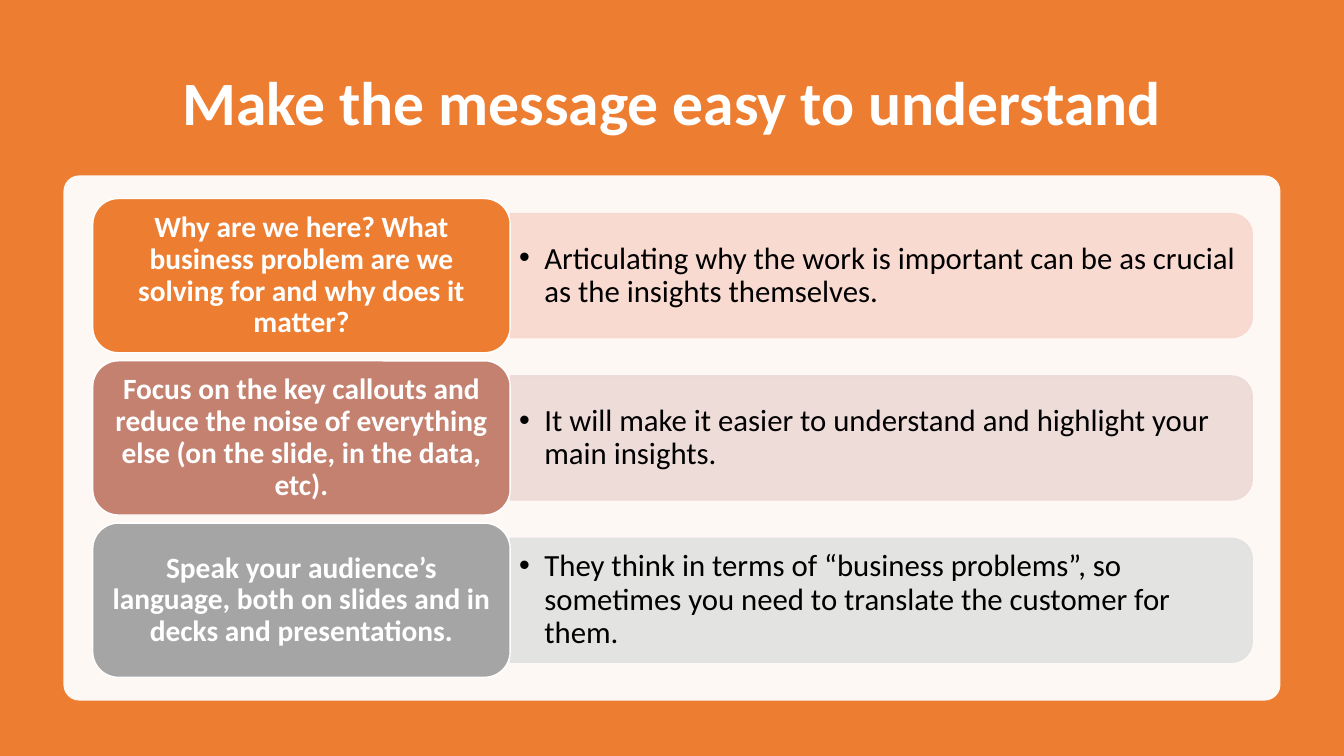
import pptx
import pptx.util
import pptx.dml.color
import pptx.enum.shapes
import pptx.enum.text
import pptx.oxml.ns
import lxml.etree

Inches = pptx.util.Inches
Pt = pptx.util.Pt
KIND = pptx.enum.shapes.MSO_SHAPE
ALIGN = pptx.enum.text.PP_ALIGN
qn = pptx.oxml.ns.qn

TITLE = "Make the message easy to understand"
ROWS = [
    ("Why are we here? What business problem are we solving for and why does it matter?",
     "Articulating why the work is important can be as crucial as the insights themselves.",
     "ED7D31", "F8D7CE"),
    ("Focus on the key callouts and reduce the noise of everything else (on the slide, in the data, etc).",
     "It will make it easier to understand and highlight your main insights.",
     "C48170", "EDD9D7"),
    ("Speak your audience’s language, both on slides and in decks and presentations.",
     "They think in terms of “business problems”, so sometimes you need to translate the customer for them.",
     "A5A5A5", "E1E1E1"),
]
WIDE, HIGH = 13.33, 7.5
LEFT, TOP, STEP = 0.92, 1.97, 1.61
CARD_W, CARD_H = 4.14, 1.53
BAR_W, BAR_H = 7.36, 1.23
NOTE_W, NOTE_H = 7.3, 1.11


def paint(part, color, alpha=None):
    part.solid()
    part.fore_color.rgb = pptx.dml.color.RGBColor.from_string(color)
    if alpha:
        tint = part._xPr.find(qn("a:solidFill")).find(qn("a:srgbClr"))
        lxml.etree.SubElement(tint, qn("a:alpha"), val=str(alpha * 1000))


def add_box(slide, kind, x, y, w, h, color, alpha=None, edge=None):
    box = slide.shapes.add_shape(kind, Inches(x), Inches(y), Inches(w), Inches(h))
    box.shadow.inherit = False
    paint(box.fill, color, alpha)
    if edge:
        box.line.width = Pt(1)
        paint(box.line.fill, edge, alpha)
    else:
        box.line.fill.background()
    return box


def write(shape, text, size, color, bold=False, align=ALIGN.CENTER, inset=(0.1, 0.05), bullet=False):
    frame = shape.text_frame
    frame.word_wrap = True
    frame.auto_size = pptx.enum.text.MSO_AUTO_SIZE.NONE
    frame.vertical_anchor = pptx.enum.text.MSO_ANCHOR.MIDDLE
    frame.margin_left = frame.margin_right = Inches(inset[0])
    frame.margin_top = frame.margin_bottom = Inches(inset[1])
    para = frame.paragraphs[0]
    para.alignment = align
    para.line_spacing = 0.9
    if bullet:
        para.level = 1
        props = para._p.get_or_add_pPr()
        props.set("marL", str(Inches(0.25)))
        props.set("indent", str(-Inches(0.25)))
        lxml.etree.SubElement(props, qn("a:buFont"), typeface="Arial")
        lxml.etree.SubElement(props, qn("a:buChar"), char="•")
    run = para.add_run()
    run.text = text
    run.font.name = "Calibri"
    run.font.size = Pt(size)
    run.font.bold = bold
    run.font.color.rgb = pptx.dml.color.RGBColor.from_string(color)


def add_row(slide, top, head, note, dark, light):
    mid = top + CARD_H / 2
    edge = LEFT + CARD_W
    bar = add_box(slide, KIND.ROUND_2_SAME_RECTANGLE, edge + (BAR_W - BAR_H) / 2,
                  mid - BAR_W / 2, BAR_H, BAR_W, light, alpha=90, edge=light)
    bar.rotation = 90
    body = slide.shapes.add_textbox(Inches(edge), Inches(mid - NOTE_H / 2),
                                    Inches(NOTE_W), Inches(NOTE_H))
    write(body, note, 22, "000000", align=ALIGN.LEFT, inset=(0.09, 0.05), bullet=True)
    card = add_box(slide, KIND.ROUNDED_RECTANGLE, LEFT, top, CARD_W, CARD_H, dark, edge="FFFFFF")
    write(card, head, 21, "FFFFFF", bold=True, inset=(0.09, 0.04))


def main():
    deck = pptx.Presentation()
    deck.slide_width, deck.slide_height = Inches(WIDE), Inches(HIGH)
    slide = deck.slides.add_slide(deck.slide_layouts[5])
    back = add_box(slide, KIND.RECTANGLE, 0, 0, WIDE, HIGH, "ED7D31")
    title = slide.shapes.title
    title._element.addprevious(back._element)
    title.left, title.top = Inches(LEFT), Inches(0.5)
    title.width, title.height = Inches(11.5), Inches(1.1)
    write(title, TITLE, 44, "FFFFFF", bold=True)
    panel = add_box(slide, KIND.ROUNDED_RECTANGLE, 0.63, 1.74, 12.07, 5.21, "FFFFFF", alpha=95)
    panel.adjustments[0] = 0.03
    for i, row in enumerate(ROWS):
        add_row(slide, TOP + i * STEP, *row)
    deck.save("out.pptx")


if __name__ == "__main__":
    main()
